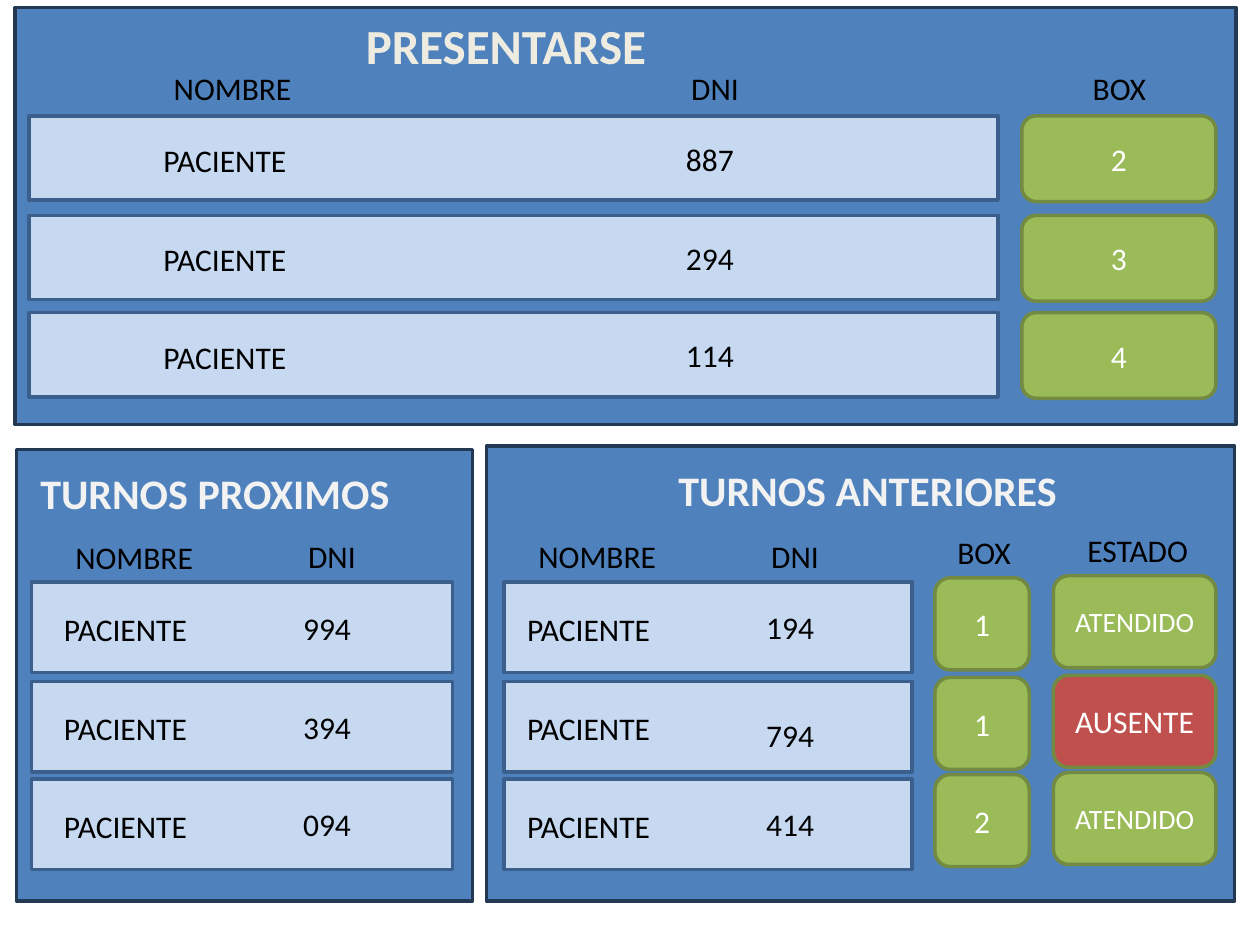
"""Build the waiting-room board with its current, next and previous turns."""
from pptx import Presentation
from pptx import util as u
from pptx.dml.color import RGBColor
from pptx.enum import shapes, text

PANEL = RGBColor(0x4F, 0x81, 0xBD)
PANEL_EDGE = RGBColor(0x23, 0x39, 0x53)
STRIP = RGBColor(0xC6, 0xD9, 0xF1)
STRIP_EDGE = RGBColor(0x3A, 0x5F, 0x8C)
GREEN = RGBColor(0x9B, 0xBB, 0x59)
GREEN_EDGE = RGBColor(0x73, 0x8A, 0x42)
RED = RGBColor(0xC0, 0x50, 0x4D)
CREAM = RGBColor(0xEE, 0xEC, 0xE1)
PALE = RGBColor(0xF2, 0xF2, 0xF2)
WHITE = RGBColor(0xFF, 0xFF, 0xFF)
BLACK = RGBColor(0, 0, 0)

ROW_STEPS = (0, 56.9, 112.4)
PATIENTS = ("PACIENTE",) * 3
LABEL_HEIGHT = 28.8


class Board:
    def __init__(self, slide, font="Calibri", size=18, line_width=2):
        self.slide = slide
        self.font = font
        self.size = size
        self.line_width = line_width

    def set_words(self, shape, words, color, size=None, bold=False, anchor=text.MSO_ANCHOR.TOP):
        frame = shape.text_frame
        frame.text = words
        frame.word_wrap = True
        frame.auto_size = text.MSO_AUTO_SIZE.NONE
        frame.vertical_anchor = anchor
        paragraph = frame.paragraphs[0]
        paragraph.alignment = text.PP_ALIGN.CENTER
        font = paragraph.runs[0].font
        font.name = self.font
        font.size = u.Pt(size or self.size)
        font.bold = bold
        font.color.rgb = color

    def box(self, bounds, fill, edge, kind=shapes.MSO_SHAPE.RECTANGLE):
        shape = self.slide.shapes.add_shape(kind, *map(u.Pt, bounds))
        shape.shadow.inherit = False
        shape.fill.solid()
        shape.fill.fore_color.rgb = fill
        shape.line.color.rgb = edge
        shape.line.width = u.Pt(self.line_width)
        return shape

    def label(self, words, bounds, color=BLACK, size=None, bold=False):
        shape = self.slide.shapes.add_textbox(*map(u.Pt, bounds))
        self.set_words(shape, words, color, size, bold)

    def title(self, words, bounds, color, size):
        shape = self.slide.shapes.title
        shape.left, shape.top, shape.width, shape.height = map(u.Pt, bounds)
        self.set_words(shape, words, color, size, True)
        shape.element.getparent().append(shape.element)

    def panel(self, bounds, strip):
        self.box(bounds, PANEL, PANEL_EDGE)
        left, top, width, height = strip
        for step in ROW_STEPS:
            self.box((left, top + step, width, height), STRIP, STRIP_EDGE)

    def column(self, heading, heading_at, width, values, values_at, steps=ROW_STEPS):
        self.label(heading, (*heading_at, width, LABEL_HEIGHT))
        left, top = values_at
        for value, step in zip(values, steps):
            self.label(value, (left, top + step, width, LABEL_HEIGHT))

    def badges(self, heading, heading_bounds, values, first):
        self.label(heading, heading_bounds)
        left, top, width, height = first
        for value, step in zip(values, ROW_STEPS):
            fill = RED if value == "AUSENTE" else GREEN
            size = 16 if value == "ATENDIDO" else self.size
            shape = self.box((left, top + step, width, height), fill, GREEN_EDGE,
                             shapes.MSO_SHAPE.ROUNDED_RECTANGLE)
            self.set_words(shape, value, WHITE, size, anchor=text.MSO_ANCHOR.MIDDLE)


presentation = Presentation()
presentation.slide_width = u.Pt(720)
presentation.slide_height = u.Pt(540)
board = Board(presentation.slides.add_slide(presentation.slide_layouts[5]))

board.panel((8.6, 4.3, 697.7, 238.3), (16.6, 66.2, 553.7, 48.2))
board.title("PRESENTARSE", (172.8, 5, 232.6, 41), CREAM, 28)
board.column("NOMBRE", (16.6, 36), 232.6, PATIENTS, (12.2, 77))
board.column("DNI", (292.3, 36), 232.6, ("887", "294", "114"), (289.4, 76.3))
board.badges("BOX", (523.4, 36, 232.6, LABEL_HEIGHT), "234", (583.9, 66.2, 110.9, 49))

board.panel((9.4, 257, 260.6, 257.8), (18, 332.6, 240.5, 51.8))
board.label("TURNOS PROXIMOS", (13.7, 263.5, 218.2, 36), PALE, 24, True)
board.column("NOMBRE", (18, 303.8), 117.4, PATIENTS, (13, 345))
board.column("DNI", (131, 303.1), 117.4, ("994", "394", "094"), (128.2, 344.2))

board.panel((277.9, 254.9, 427.7, 259.9), (288, 332.6, 233.3, 51.8))
board.label("TURNOS ANTERIORES", (369.4, 262.1, 252.7, 36), PALE, 24, True)
board.column("NOMBRE", (284.4, 303.1), 113.8, PATIENTS, (279.4, 345))
board.column("DNI", (397.4, 303.1), 113.8, ("194", "794", "414"), (394.6, 343.8),
             steps=(0, 61.6, 112.4))
board.badges("BOX", (505.4, 301, 113.8, LABEL_HEIGHT), "112", (534.2, 330.2, 54, 52.6))
board.badges("ESTADO", (552.2, 300.2, 195.8, LABEL_HEIGHT),
             ("ATENDIDO", "AUSENTE", "ATENDIDO"), (601.9, 329, 92.9, 52.6))

presentation.save("out.pptx")
